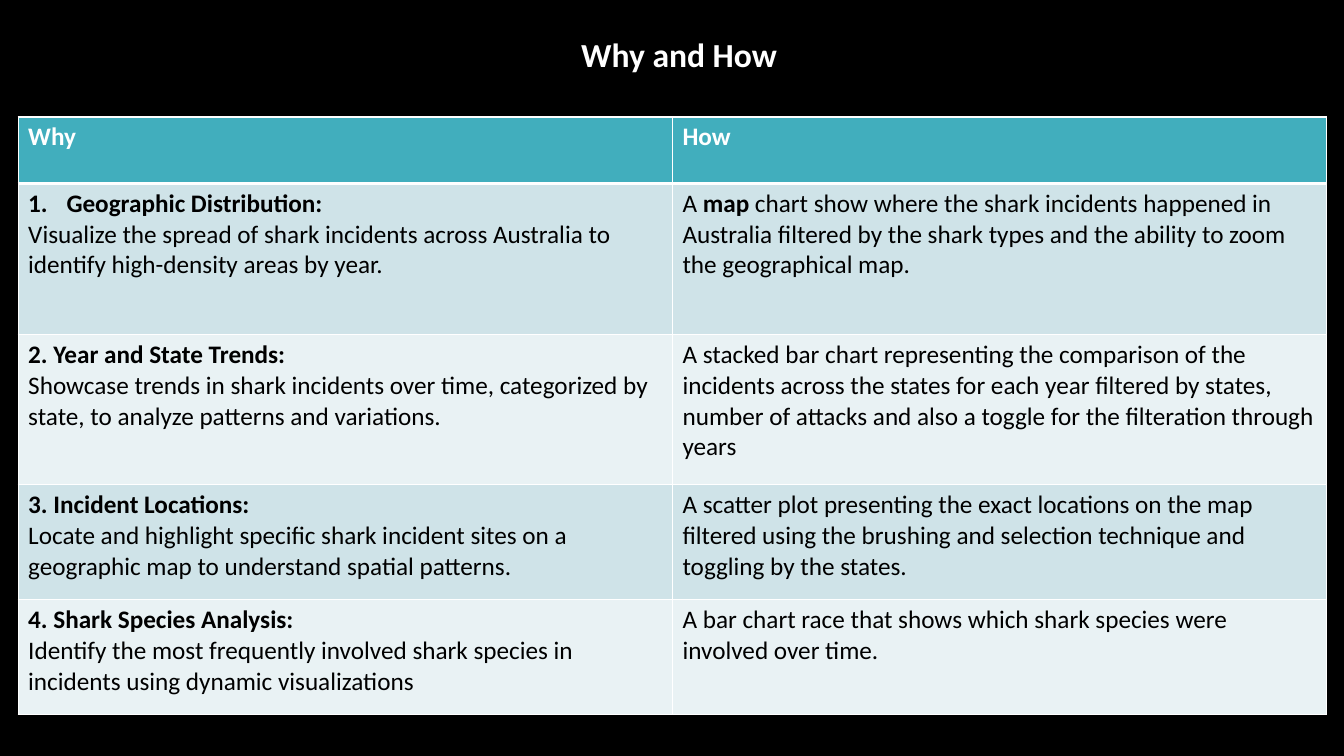
from lxml import etree
from pptx import Presentation
from pptx import util as u
from pptx.dml.color import RGBColor
from pptx.enum import text
from pptx.oxml.ns import qn

WHITE, BLACK, TEAL = "FFFFFF", "000000", "41AEBD"
BANDS = ["CFE3E8", "E9F2F4"]
COL_WIDTH = 6.49
ROW_HEIGHTS = [0.66, 1.5, 1.49, 1.14, 1.14]

# Each body row: heading, reason, and the runs of the "How" cell as (text, bold).
ROWS = [
    ("Geographic Distribution:",
     "Visualize the spread of shark incidents across Australia to identify "
     "high-density areas by year.",
     [("A ", False), ("map", True),
      (" chart show where the shark incidents happened in Australia filtered by "
       "the shark types and the ability to zoom the geographical map.", False)]),
    ("2. Year and State Trends:",
     "Showcase trends in shark incidents over time, categorized by state, to "
     "analyze patterns and variations.",
     [("A stacked bar chart representing the comparison of the incidents across "
       "the states for each year filtered by states, number of attacks and also "
       "a toggle for the filteration through years", False)]),
    ("3. Incident Locations:",
     "Locate and highlight specific shark incident sites on a geographic map to "
     "understand spatial patterns.",
     [("A scatter plot presenting the exact locations on the map filtered using "
       "the brushing and selection technique and toggling by the states.", False)]),
    ("4. Shark Species Analysis:",
     "Identify the most frequently involved shark species in incidents using "
     "dynamic visualizations",
     [("A bar chart race that shows which shark species were involved over time.",
       False)]),
]


def rgb(color):
    return RGBColor.from_string(color)


def add_run(p, words, size=18, color=BLACK, bold=False):
    r = p.add_run()
    r.text = words
    r.font.name = "Calibri"
    r.font.size = u.Pt(size)
    r.font.bold = bold
    r.font.color.rgb = rgb(color)


def number_paragraph(p):
    """Give the paragraph an automatic number with a hanging indent."""
    pPr = p._p.get_or_add_pPr()
    pPr.set("marL", str(u.Inches(0.38)))
    pPr.set("indent", str(u.Inches(-0.38)))
    etree.SubElement(pPr, qn("a:buFont"), typeface="+mj-lt")
    etree.SubElement(pPr, qn("a:buAutoNum"), type="arabicPeriod")


def style_cell(cell, fill, top=1, bottom=1):
    """Draw white borders (widths in points) and then the fill."""
    tcPr = cell._tc.get_or_add_tcPr()
    for side, width in (("L", 1), ("R", 1), ("T", top), ("B", bottom)):
        ln = etree.SubElement(tcPr, qn(f"a:ln{side}"), w=str(u.Pt(width)))
        solid = etree.SubElement(ln, qn("a:solidFill"))
        etree.SubElement(solid, qn("a:srgbClr"), val=WHITE)
    cell.fill.solid()
    cell.fill.fore_color.rgb = rgb(fill)


def add_title(s, words):
    sp = s.shapes.add_textbox(u.Inches(4.27), u.Inches(0.29),
                              u.Inches(4.93), u.Inches(0.5))
    tf = sp.text_frame
    tf.word_wrap = True
    tf.auto_size = text.MSO_AUTO_SIZE.SHAPE_TO_FIT_TEXT
    p = tf.paragraphs[0]
    p.alignment = text.PP_ALIGN.CENTER
    add_run(p, words, size=24, color=WHITE, bold=True)


def add_why_how_table(s):
    table = s.shapes.add_table(len(ROW_HEIGHTS), 2, u.Inches(0.18), u.Inches(1.16),
                               u.Inches(2 * COL_WIDTH),
                               u.Inches(sum(ROW_HEIGHTS))).table
    for column in table.columns:
        column.width = u.Inches(COL_WIDTH)
    for row, height in zip(table.rows, ROW_HEIGHTS):
        row.height = u.Inches(height)

    for col, header in enumerate(("Why", "How")):
        cell = table.cell(0, col)
        style_cell(cell, TEAL, bottom=3)
        add_run(cell.text_frame.paragraphs[0], header, color=WHITE, bold=True)

    for i, (heading, reason, how) in enumerate(ROWS):
        why_cell, how_cell = table.cell(i + 1, 0), table.cell(i + 1, 1)
        for cell in (why_cell, how_cell):
            style_cell(cell, BANDS[i % 2], top=3 if i == 0 else 1)
        tf = why_cell.text_frame
        if i == 0:
            number_paragraph(tf.paragraphs[0])
        add_run(tf.paragraphs[0], heading, bold=True)
        add_run(tf.add_paragraph(), reason)
        for words, bold in how:
            add_run(how_cell.text_frame.paragraphs[0], words, bold=bold)


def main():
    prs = Presentation()
    prs.slide_width, prs.slide_height = u.Inches(13.33), u.Inches(7.5)
    s = prs.slides.add_slide(prs.slide_layouts[6])
    s.background.fill.solid()
    s.background.fill.fore_color.rgb = rgb(BLACK)
    add_title(s, "Why and How")
    add_why_how_table(s)
    prs.save("out.pptx")


if __name__ == "__main__":
    main()
